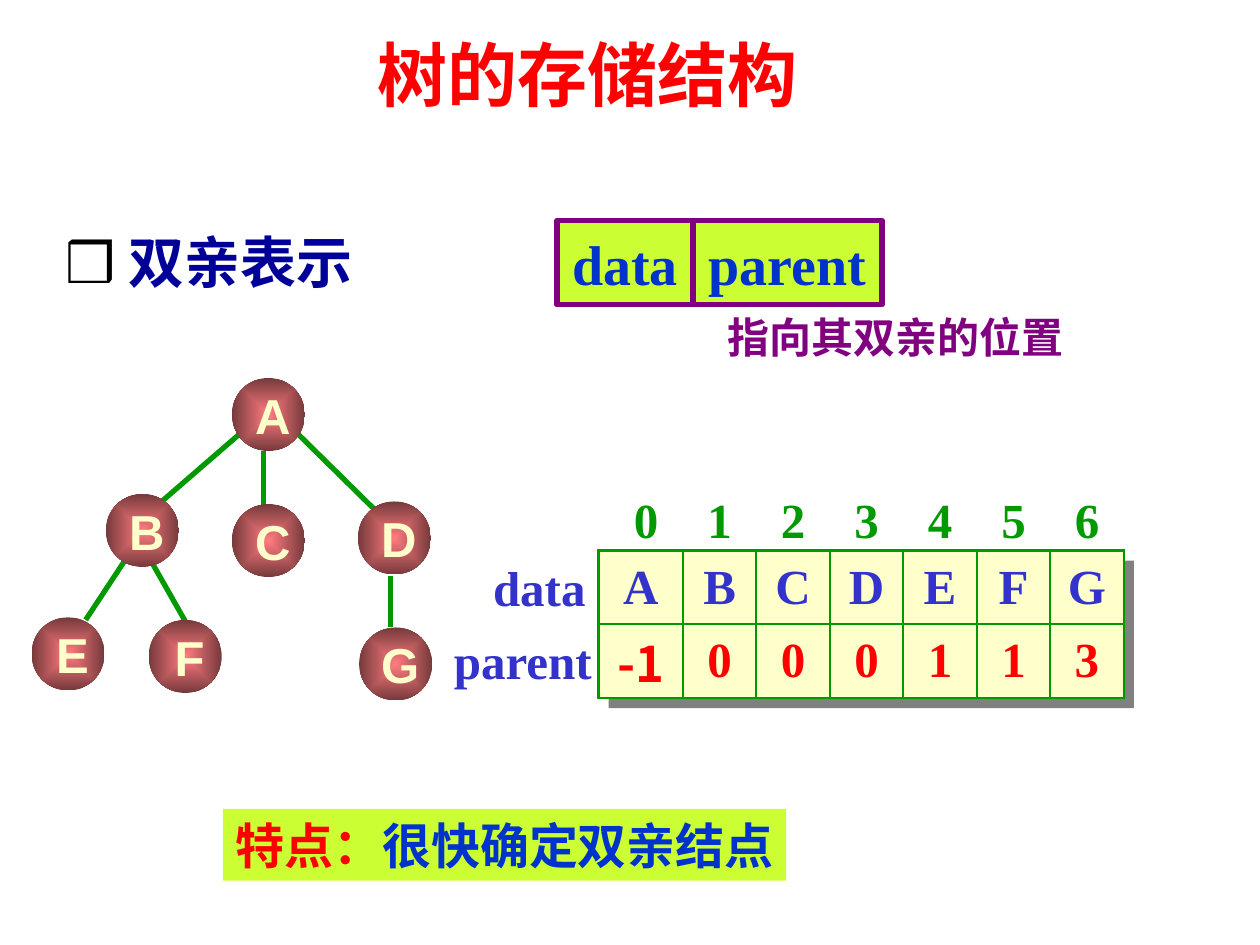
from lxml import etree
from pptx import Presentation
from pptx.dml.color import RGBColor
from pptx.enum.shapes import MSO_CONNECTOR, MSO_SHAPE
from pptx.enum.text import MSO_ANCHOR, PP_ALIGN
from pptx.oxml import parse_xml
from pptx.oxml.ns import nsdecls, qn
from pptx.util import Inches, Pt

CENTER, LEFT = PP_ALIGN.CENTER, PP_ALIGN.LEFT
MIDDLE = MSO_ANCHOR.MIDDLE
RECTANGLE, OVAL = MSO_SHAPE.RECTANGLE, MSO_SHAPE.OVAL

RED = RGBColor(0xFF, 0x00, 0x00)
BLACK = RGBColor(0x00, 0x00, 0x00)
NAVY = RGBColor(0x00, 0x00, 0x99)
BLUE = RGBColor(0x00, 0x33, 0xCC)
INDIGO = RGBColor(0x33, 0x33, 0xCC)
GREEN = RGBColor(0x00, 0x99, 0x00)
PURPLE = RGBColor(0x80, 0x00, 0x80)
LIME = RGBColor(0xCC, 0xFF, 0x33)
CREAM = RGBColor(0xFF, 0xFF, 0xCC)
GRAY = RGBColor(0x80, 0x80, 0x80)
ROSE = RGBColor(0xFF, 0x7C, 0x80)
MAROON = RGBColor(0x76, 0x39, 0x3B)

SERIF, SANS, CJK = "Times New Roman", "Arial", "Noto Sans CJK SC"

TITLE = "树的存储结构"
METHOD = "双亲表示"
PARENT_NOTE = "指向其双亲的位置"
FEATURE = ("特点：", "很快确定双亲结点")

# Fields of one record: name, left, width
RECORD_FIELDS = [("data", 4.42, 1.08), ("parent", 5.5, 1.5)]
RECORD_TOP, RECORD_HEIGHT = 1.75, 0.67

# Parent array: label, label centre, values, colour
ARRAY_ROWS = [
    ("data", 4.28, ["A", "B", "C", "D", "E", "F", "G"], INDIGO),
    ("parent", 4.15, ["-1", "0", "0", "0", "1", "1", "3"], RED),
]
ARRAY_LEFT, ARRAY_TOP = 4.75, 4.37
ARRAY_WIDTH, ARRAY_HEIGHT = 4.17, 1.17
FIRST_COLUMN = 0.67
SHADOW_OFFSET = 0.08

# Tree nodes: left, top of each circle
NODE_SIZE = 0.58
NODES = {
    "A": (1.84, 3), "B": (0.84, 3.92), "C": (1.84, 4), "D": (2.84, 3.98),
    "E": (0.25, 4.9), "F": (1.18, 4.92), "G": (2.85, 4.98),
}
# Tree branches: start and end on the circles' rims
BRANCHES = [
    ((1.93, 3.42), (1.26, 4)),
    ((2.09, 3.58), (2.09, 4.08)),
    ((2.34, 3.42), (3.01, 4.08)),
    ((1.01, 4.42), (0.68, 4.92)),
    ((1.18, 4.42), (1.51, 5)),
    ((3.1, 4.57), (3.1, 4.98)),
]


def write(frame, *runs, size=28, font=SERIF, align=CENTER):
    """Fill a text frame with runs of (text, colour) or (text, colour, font)."""
    frame.vertical_anchor = MIDDLE
    paragraph = frame.paragraphs[0]
    paragraph.alignment = align
    for text, color, *own_font in runs:
        run = paragraph.add_run()
        run.text = text
        run.font.size = Pt(size)
        run.font.bold = True
        run.font.color.rgb = color
        run.font.name = own_font[0] if own_font else font
        etree.SubElement(run.font._element, qn("a:ea"), typeface=CJK)


def add_text(slide, left, top, width, height, *runs, **style):
    box = slide.shapes.add_textbox(*map(Inches, (left, top, width, height)))
    box.text_frame.word_wrap = False
    write(box.text_frame, *runs, **style)


def add_block(slide, kind, left, top, width, height, fill=None, line=None):
    block = slide.shapes.add_shape(kind, *map(Inches, (left, top, width, height)))
    block.shadow.inherit = False
    block.text_frame.word_wrap = False
    if fill is not None:
        block.fill.solid()
        block.fill.fore_color.rgb = fill
    if line is None:
        block.line.fill.background()
    else:
        block.line.color.rgb = line
        block.line.width = Pt(3)
    return block


def add_branch(slide, start, end):
    branch = slide.shapes.add_connector(
        MSO_CONNECTOR.STRAIGHT, *map(Inches, (*start, *end)))
    branch.line.color.rgb = GREEN
    branch.line.width = Pt(3)
    etree.SubElement(branch._element.spPr, qn("a:effectLst"))


def add_node(slide, name, left, top):
    node = add_block(slide, OVAL, left, top, NODE_SIZE, NODE_SIZE)
    gradient = parse_xml(
        f'<a:gradFill {nsdecls("a")}><a:gsLst>'
        f'<a:gs pos="0"><a:srgbClr val="{ROSE}"/></a:gs>'
        f'<a:gs pos="100000"><a:srgbClr val="{MAROON}"/></a:gs></a:gsLst>'
        '<a:path path="rect"><a:fillToRect l="50000" t="50000" r="50000" b="50000"/>'
        '</a:path></a:gradFill>')
    node._element.spPr.find(qn("a:prstGeom")).addnext(gradient)
    frame = node.text_frame
    frame.margin_left, frame.margin_right = Inches(0.07), 0
    frame.margin_top = frame.margin_bottom = 0
    write(frame, (name, CREAM), font=SANS)


def set_borders(cell):
    properties = cell._tc.get_or_add_tcPr()
    for index, side in enumerate(("lnL", "lnR", "lnT", "lnB")):
        properties.insert(index, parse_xml(
            f'<a:{side} {nsdecls("a")} w="{Pt(1.5)}"><a:solidFill>'
            f'<a:srgbClr val="{GREEN}"/></a:solidFill></a:{side}>'))


def add_parent_array(slide):
    count = len(ARRAY_ROWS[0][2])
    step = (ARRAY_WIDTH - FIRST_COLUMN) / (count - 1)
    row_height = ARRAY_HEIGHT / len(ARRAY_ROWS)

    add_block(slide, RECTANGLE, ARRAY_LEFT + SHADOW_OFFSET, ARRAY_TOP + SHADOW_OFFSET,
              ARRAY_WIDTH, ARRAY_HEIGHT, fill=GRAY)
    table = slide.shapes.add_table(
        len(ARRAY_ROWS), count,
        *map(Inches, (ARRAY_LEFT, ARRAY_TOP, ARRAY_WIDTH, ARRAY_HEIGHT))).table
    table.first_row = table.horz_banding = False

    for column in range(count):
        table.columns[column].width = Inches(step if column else FIRST_COLUMN)
        right = ARRAY_LEFT + FIRST_COLUMN + column * step
        add_text(slide, right - step, 3.83, step, 0.57, (str(column), GREEN))

    for row, (label, label_center, values, color) in enumerate(ARRAY_ROWS):
        add_text(slide, label_center - 0.65, ARRAY_TOP + row * row_height,
                 1.3, 0.57, (label, INDIGO))
        for column, value in enumerate(values):
            cell = table.cell(row, column)
            cell.margin_left = cell.margin_right = 0
            cell.margin_top = cell.margin_bottom = 0
            cell.vertical_anchor = MIDDLE
            cell.fill.solid()
            cell.fill.fore_color.rgb = CREAM
            set_borders(cell)
            write(cell.text_frame, (value, color), font=CJK if value == "-1" else SERIF)


def main():
    presentation = Presentation()
    presentation.slide_width, presentation.slide_height = Inches(10), Inches(7.5)
    slide = presentation.slides.add_slide(presentation.slide_layouts[6])

    add_text(slide, 2.33, 0.25, 4.67, 0.67, (TITLE, RED), size=40, font=CJK)
    add_text(slide, 0.42, 1.75, 3.75, 0.64, ("❒ ", BLACK, SANS), (METHOD, NAVY, CJK),
             size=32, align=LEFT)

    for name, left, width in RECORD_FIELDS:
        field = add_block(slide, RECTANGLE, left, RECORD_TOP, width, RECORD_HEIGHT,
                          fill=LIME, line=PURPLE)
        write(field.text_frame, (name, BLUE), size=32)
    add_text(slide, 5.61, 2.42, 3, 0.5, (PARENT_NOTE, PURPLE), size=24)

    add_parent_array(slide)

    for start, end in BRANCHES:
        add_branch(slide, start, end)
    for name, (left, top) in NODES.items():
        add_node(slide, name, left, top)

    feature = add_block(slide, RECTANGLE, 1.77, 6.42, 4.47, 0.57, fill=LIME)
    write(feature.text_frame, (FEATURE[0], RED), (FEATURE[1], BLUE))

    presentation.save("out.pptx")


if __name__ == "__main__":
    main()
